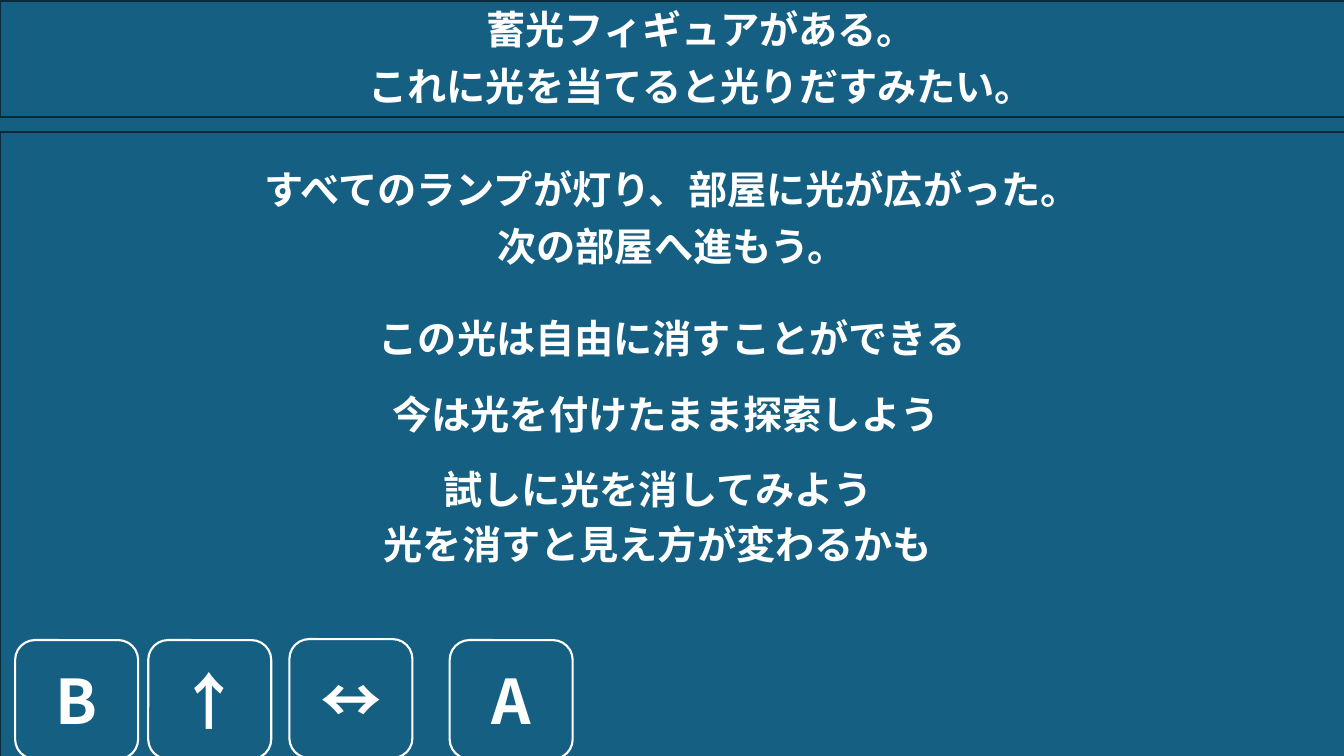
from dataclasses import dataclass

from lxml.etree import SubElement
from pptx import Presentation
from pptx.dml.color import RGBColor
from pptx.enum.shapes import MSO_SHAPE
from pptx.enum.text import MSO_ANCHOR, MSO_AUTO_SIZE, PP_ALIGN
from pptx.oxml.ns import qn
from pptx.shapes.autoshape import Shape
from pptx.slide import Slide
from pptx.util import Inches, Pt

FONT = "Noto Sans CJK JP"
COLORS = {"panel": "156082", "panel_edge": "092A39", "white": "FFFFFF"}
MESSAGE_SIZE = 28
KEY_SIZE = 44


@dataclass
class Message:
    text: str
    left: float
    top: float


@dataclass
class Panel:
    left: float
    top: float
    width: float
    height: float


@dataclass
class Key:
    label: str
    left: float
    top: float = 6.35


TITLE = Message("蓄光フィギュアがある。", 1.05, 0)
MESSAGES = [
    Message("これに光を当てると光りだすみたい。", 1.05, 0.57),
    Message("すべてのランプが灯り、部屋に光が広がった。", 0.76, 1.59),
    Message("次の部屋へ進もう。", 0.76, 2.16),
    Message("この光は自由に消すことができる", 0.76, 3.07),
    Message("今は光を付けたまま探索しよう", 0.7, 3.82),
    Message("試しに光を消してみよう", 0.62, 4.57),
    Message("光を消すと見え方が変わるかも", 0.62, 5.11),
]
PANELS = [Panel(0, 0.01, 13.46, 7.68), Panel(-0.63, 1.16, 14.59, 0.15)]
KEYS = [Key("B", 0.15), Key("↑", 1.47), Key("↔", 2.87, 6.34), Key("A", 4.46)]


def color(name: str) -> RGBColor:
    return RGBColor.from_string(COLORS[name])


def write_text(shape: Shape, text: str, size: int) -> None:
    """Set centred bold white text, with the font for Latin and Japanese."""
    shape.text_frame.text = text
    paragraph = shape.text_frame.paragraphs[0]
    paragraph.alignment = PP_ALIGN.CENTER
    run = paragraph.runs[0]
    run.font.size = Pt(size)
    run.font.bold = True
    run.font.name = FONT
    run.font.color.rgb = color("white")
    SubElement(run.font._element, qn("a:ea"), typeface=FONT)


def format_message(shape: Shape, message: Message) -> None:
    shape.left, shape.top = Inches(message.left), Inches(message.top)
    shape.width, shape.height = Inches(11.81), Inches(0.59)
    write_text(shape, message.text, MESSAGE_SIZE)
    text_frame = shape.text_frame
    text_frame.word_wrap = True
    text_frame.auto_size = MSO_AUTO_SIZE.SHAPE_TO_FIT_TEXT
    text_frame.vertical_anchor = MSO_ANCHOR.TOP


def add_box(slide: Slide, kind: MSO_SHAPE, area: Panel, edge: str) -> Shape:
    shape = slide.shapes.add_shape(
        kind, Inches(area.left), Inches(area.top), Inches(area.width), Inches(area.height)
    )
    shape.shadow.inherit = False
    shape.fill.solid()
    shape.fill.fore_color.rgb = color("panel")
    shape.line.color.rgb = color(edge)
    shape.line.width = Pt(1.5)
    return shape


def add_key(slide: Slide, key: Key) -> None:
    area = Panel(key.left, key.top, 1.22, 1.18)
    shape = add_box(slide, MSO_SHAPE.ROUNDED_RECTANGLE, area, "white")
    write_text(shape, key.label, KEY_SIZE)
    shape.text_frame.vertical_anchor = MSO_ANCHOR.MIDDLE


def main() -> None:
    presentation = Presentation()
    presentation.slide_width = Inches(13.33)
    presentation.slide_height = Inches(7.5)
    slide = presentation.slides.add_slide(presentation.slide_layouts.get_by_name("Title Only"))

    for panel in PANELS:
        add_box(slide, MSO_SHAPE.RECTANGLE, panel, "panel_edge")

    title = slide.shapes.title
    format_message(title, TITLE)
    # The title must stand in front of the panels
    title.element.getparent().append(title.element)

    for message in MESSAGES:
        format_message(slide.shapes.add_textbox(0, 0, 0, 0), message)
    for key in KEYS:
        add_key(slide, key)

    presentation.save("out.pptx")


if __name__ == "__main__":
    main()
